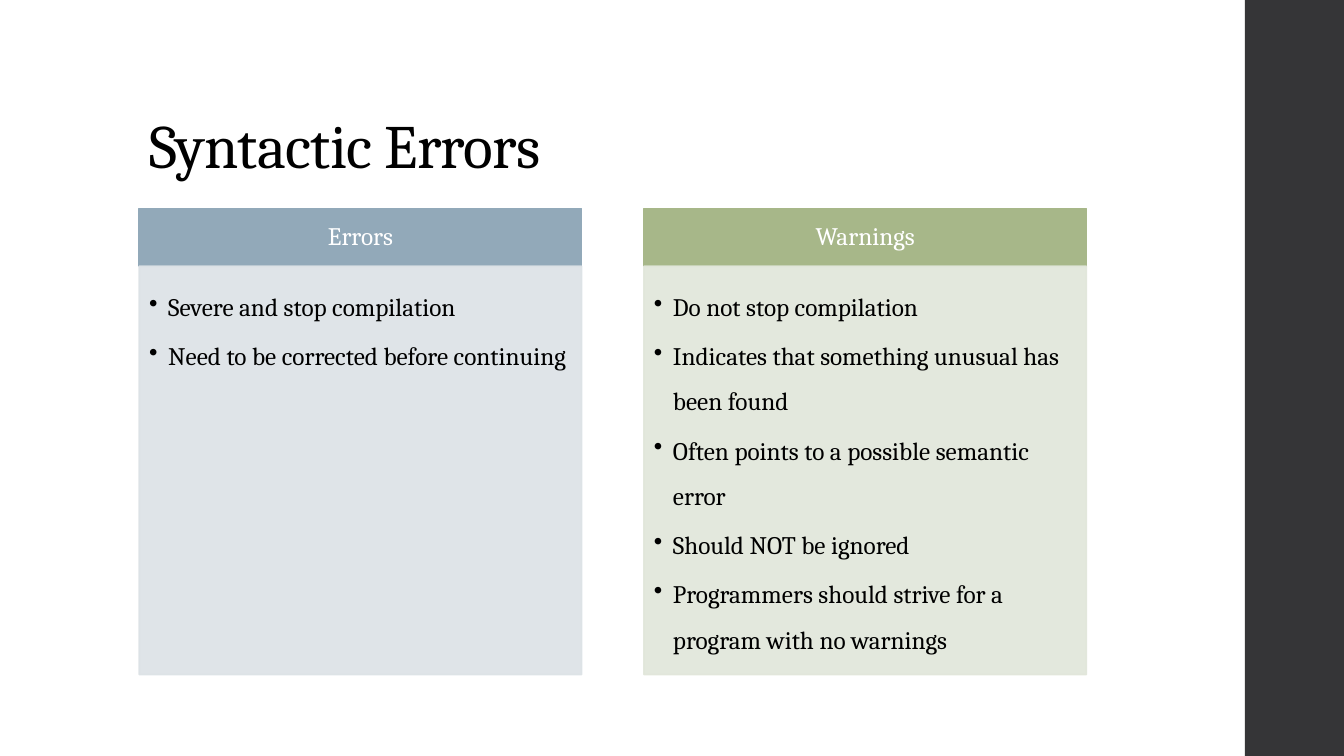
from lxml import etree
from pptx import Presentation
from pptx.dml.color import RGBColor
from pptx.enum.shapes import MSO_SHAPE
from pptx.enum.text import MSO_ANCHOR, MSO_AUTO_SIZE, PP_ALIGN
from pptx.oxml.ns import qn
from pptx.util import Cm, Pt

RECTANGLE = MSO_SHAPE.RECTANGLE
LEFT, CENTER = PP_ALIGN.LEFT, PP_ALIGN.CENTER
TOP, MIDDLE, BOTTOM = MSO_ANCHOR.TOP, MSO_ANCHOR.MIDDLE, MSO_ANCHOR.BOTTOM

BLACK = RGBColor(0x00, 0x00, 0x00)
WHITE = RGBColor(0xFF, 0xFF, 0xFF)
CHARCOAL = RGBColor(0x35, 0x35, 0x37)
BLUE = RGBColor(0x92, 0xA9, 0xB9)
PALE_BLUE = RGBColor(0xDC, 0xE2, 0xE6)
GREEN = RGBColor(0xA7, 0xB7, 0x89)
PALE_GREEN = RGBColor(0xE1, 0xE6, 0xDA)
FONT = "Cambria"

# Content
TITLE = "Syntactic Errors"
COLUMNS = [
    ("Errors", BLUE, PALE_BLUE, [
        "Severe and stop compilation",
        "Need to be corrected before continuing",
    ]),
    ("Warnings", GREEN, PALE_GREEN, [
        "Do not stop compilation",
        "Indicates that something unusual has been found",
        "Often points to a possible semantic error",
        "Should NOT be ignored",
        "Programmers should strive for a program with no warnings",
    ]),
]

# Layout in centimetres
SLIDE_W, SLIDE_H = 33.87, 19.05
SIDEBAR_LEFT, SIDEBAR_W = 31.37, 2.54
MARGIN = 3.51
COLUMN_W, COLUMN_GAP = 11.15, 1.57
HEADER_TOP, HEADER_H, BODY_H = 5.26, 1.45, 10.29
HEADER_INSETS = (0.36, 0.2, 0.36, 0.2)
BODY_INSETS = (0.25, 0.25, 0.36, 0.41)
BULLET_INDENT = 0.48


def add_box(left, top, width, height, color, outlined=True, opacity=100):
    box = slide.shapes.add_shape(RECTANGLE, Cm(left), Cm(top), Cm(width), Cm(height))
    box.shadow.inherit = False
    box.fill.solid()
    box.fill.fore_color.rgb = color
    if outlined:
        box.line.color.rgb = color
        box.line.width = Pt(1.1)
    else:
        box.line.fill.background()
    if opacity < 100:
        for tint in box.element.spPr.iter(qn("a:srgbClr")):
            etree.SubElement(tint, qn("a:alpha"), val=str(opacity * 1000))
    return box


def write(frame, lines, size, color, align, anchor, spacing, after=0):
    frame.text = "\n".join(lines)
    frame.word_wrap = True
    frame.auto_size = MSO_AUTO_SIZE.NONE
    frame.vertical_anchor = anchor
    for line in frame.paragraphs:
        line.alignment = align
        line.line_spacing = spacing
        line.space_before = Pt(0)
        line.space_after = Pt(after)
        font = line.runs[0].font
        font.name, font.size, font.color.rgb = FONT, Pt(size), color


def set_insets(frame, insets):
    (frame.margin_left, frame.margin_top,
     frame.margin_right, frame.margin_bottom) = map(Cm, insets)


def add_bullets(frame):
    for line in frame.paragraphs:
        properties = line._p.get_or_add_pPr()
        properties.set("marL", str(Cm(BULLET_INDENT)))
        properties.set("indent", str(-Cm(BULLET_INDENT)))
        etree.SubElement(properties, qn("a:buChar"), char="•")


presentation = Presentation()
presentation.slide_width, presentation.slide_height = Cm(SLIDE_W), Cm(SLIDE_H)
slide = presentation.slides.add_slide(presentation.slide_layouts[5])

# Sidebar
add_box(SIDEBAR_LEFT, 0, SIDEBAR_W, SLIDE_H, CHARCOAL, outlined=False)

# Title
title = slide.shapes.title
title.left, title.top, title.width, title.height = Cm(MARGIN), Cm(1.02), Cm(26.92), Cm(3.68)
write(title.text_frame, [TITLE], 44, BLACK, LEFT, BOTTOM, 0.9)
title.text_frame.paragraphs[0].runs[0].font._element.set("spc", "-50")

# Columns: a header above a bulleted body
for index, (heading, header_color, body_color, points) in enumerate(COLUMNS):
    left = MARGIN + index * (COLUMN_W + COLUMN_GAP)

    header = add_box(left, HEADER_TOP, COLUMN_W, HEADER_H, header_color).text_frame
    set_insets(header, HEADER_INSETS)
    write(header, [heading], 18, WHITE, CENTER, MIDDLE, 0.9)

    body = add_box(left, HEADER_TOP + HEADER_H, COLUMN_W, BODY_H, body_color,
                   opacity=90).text_frame
    set_insets(body, BODY_INSETS)
    write(body, points, 18, BLACK, LEFT, TOP, 1.5, after=2.7)
    add_bullets(body)

presentation.save("out.pptx")
